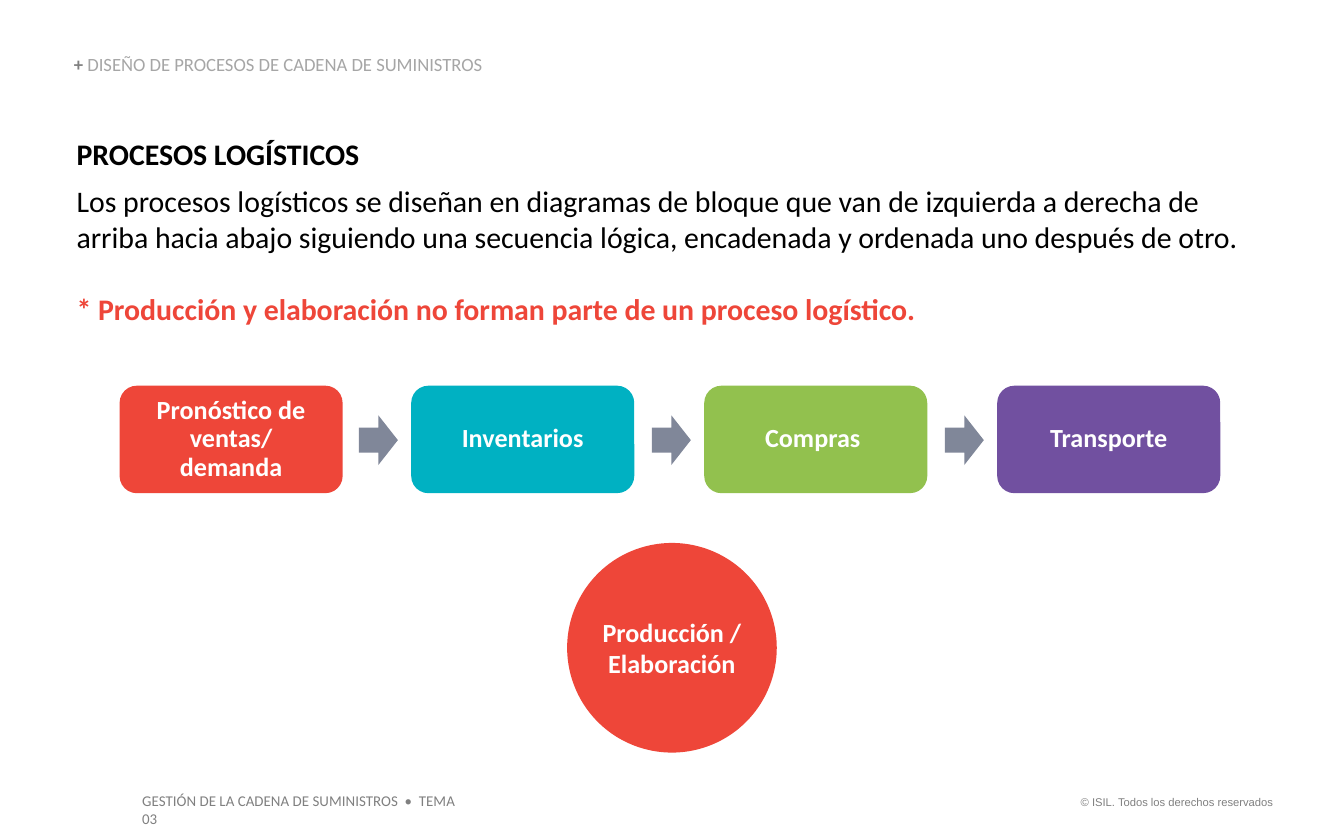
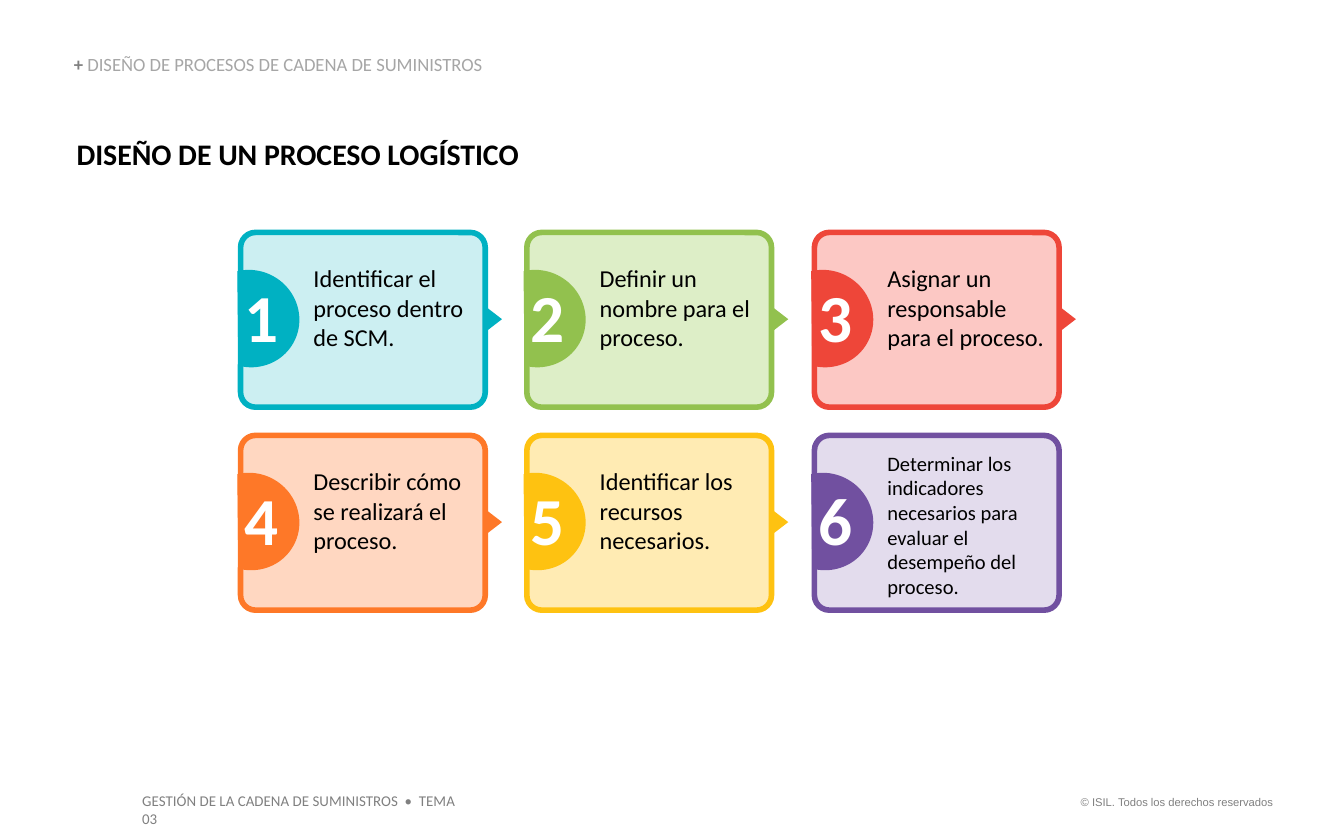
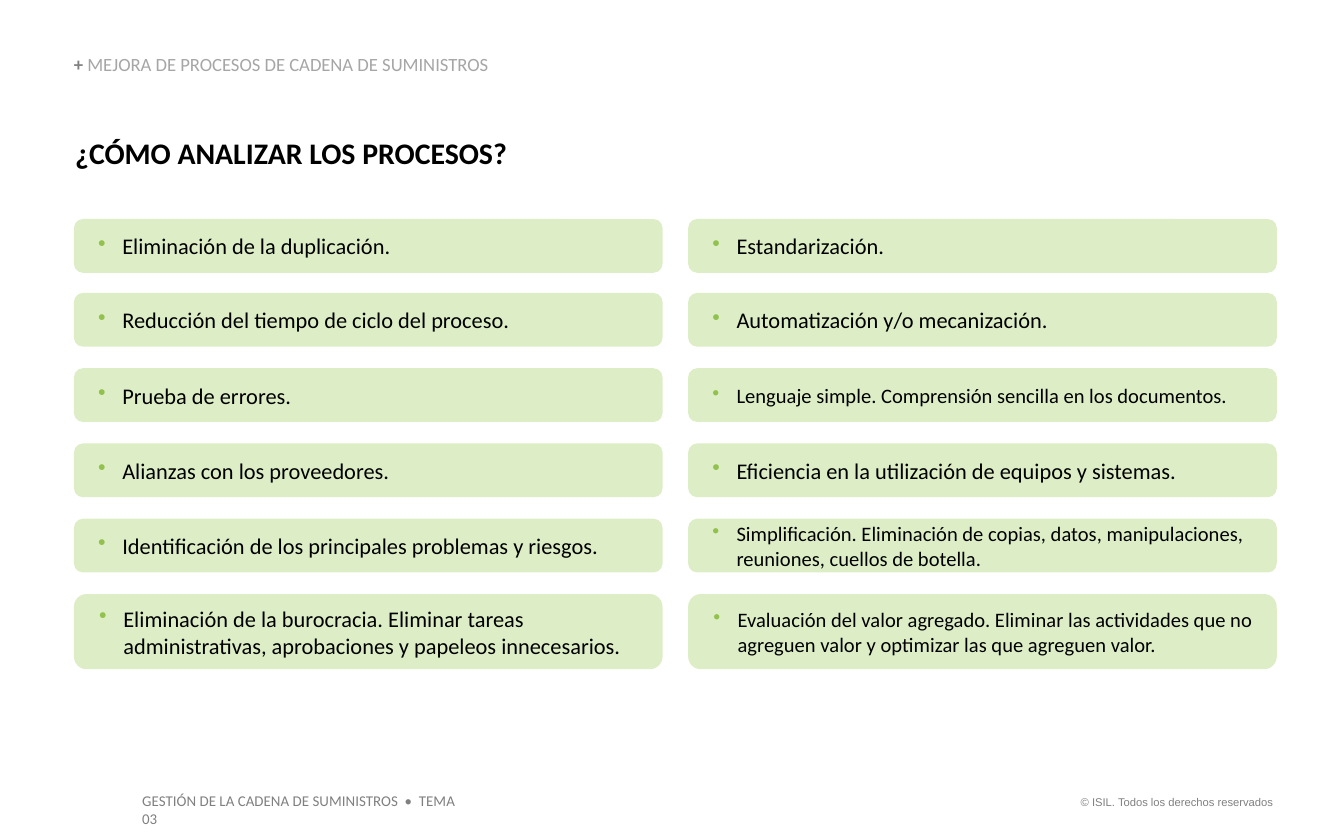
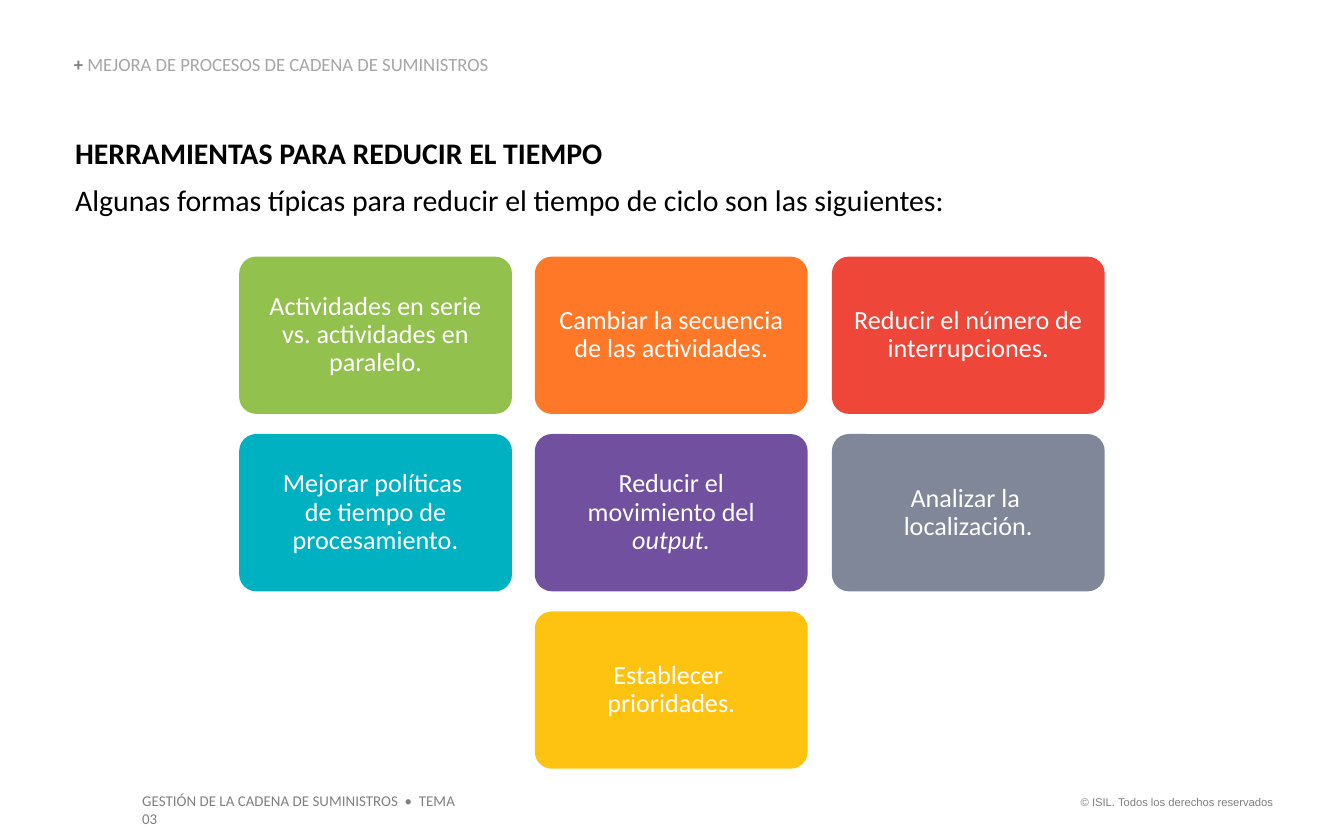
from lxml.etree import SubElement
from pptx import Presentation
from pptx.dml.color import RGBColor
from pptx.enum.shapes import MSO_SHAPE
from pptx.enum.text import MSO_ANCHOR, PP_ALIGN
from pptx.oxml.ns import qn
from pptx.util import Emu, Pt

PX = 9144  # 100 px to the inch
SLIDE_W, SLIDE_H = 1000, 625
FONT = "Calibri"
COLORS = {
    "black": "000000", "white": "FFFFFF", "gray": "808080", "light gray": "A6A6A6",
    "red": "EE4639", "teal": "00B1C2", "green": "92C14E", "purple": "7150A0",
    "orange": "FE7828", "yellow": "FEC211", "slate": "808799",
    "pale red": "FCC8C4", "pale teal": "CCEFF2", "pale green": "DDEEC7",
    "pale purple": "E3DCED", "pale orange": "FFD7C1", "pale yellow": "FFEBB3",
}
DEFAULT_INSETS = (10, 5, 10, 5)
NO_INSETS = (0, 0, 0, 0)
DESIGN = "DISEÑO DE PROCESOS DE CADENA DE SUMINISTROS"
IMPROVEMENT = "MEJORA DE PROCESOS DE CADENA DE SUMINISTROS"


def color(name):
    return RGBColor.from_string(COLORS[name])


def emu(box):
    return [Emu(length * PX) for length in box]


def write(paragraph, text, size, ink, bold=False, italic_end="", font=FONT):
    """Set a paragraph's text, with an optional italic ending, and format it."""
    paragraph.text = text
    if italic_end:
        ending = paragraph.add_run()
        ending.text = italic_end
        ending.font.italic = True
    for run in paragraph.runs:
        run.font.name = font
        run.font.size = Pt(size)
        run.font.bold = bold
        run.font.color.rgb = color(ink)
    for line_break in paragraph._p.findall(qn("a:br")):
        SubElement(line_break, qn("a:rPr"), sz=str(size * 100))


def set_frame(frame, insets, anchor):
    frame.word_wrap = True
    frame.vertical_anchor = anchor
    (frame.margin_left, frame.margin_top,
     frame.margin_right, frame.margin_bottom) = emu(insets)


def add_text(slide, box, insets=NO_INSETS, anchor=MSO_ANCHOR.TOP):
    """Add an empty text box and return its frame."""
    frame = slide.shapes.add_textbox(*emu(box)).text_frame
    set_frame(frame, insets, anchor)
    return frame


def add_figure(slide, preset, box, fill, adjustments=(), rotation=0,
               insets=DEFAULT_INSETS, anchor=MSO_ANCHOR.MIDDLE):
    figure = slide.shapes.add_shape(preset, *emu(box))
    figure.shadow.inherit = False
    figure.fill.solid()
    figure.fill.fore_color.rgb = color(fill)
    figure.line.fill.background()
    figure.rotation = rotation
    for index, value in enumerate(adjustments):
        figure.adjustments[index] = value
    set_frame(figure.text_frame, insets, anchor)
    return figure


def add_label_card(slide, box, fill, corner, text, bold=False, italic_end=""):
    """Add a rounded box with a centred white label."""
    card = add_figure(slide, MSO_SHAPE.ROUNDED_RECTANGLE, box, fill, [corner])
    label = card.text_frame.paragraphs[0]
    write(label, text, 14, "white", bold, italic_end)
    label.alignment = PP_ALIGN.CENTER
    label.line_spacing = 0.9


def add_heading(slide, box, title, body=""):
    frame = add_text(slide, box)
    heading = frame.paragraphs[0]
    write(heading, title, 16, "black", bold=True)
    if body:
        heading.space_after = Pt(6)
        write(frame.add_paragraph(), body, 16, "black")
    return frame


def new_slide(deck, section):
    """Add a slide with the section line and both footers."""
    slide = deck.slides.add_slide(deck.slide_layouts[6])

    rights = add_text(slide, (788, 587, 169, 20), DEFAULT_INSETS).paragraphs[0]
    write(rights, "© ISIL. Todos los derechos reservados", 6, "gray", font="Arial")
    rights.alignment = PP_ALIGN.RIGHT

    course = add_text(slide, (96, 584, 266, 24), DEFAULT_INSETS).paragraphs[0]
    write(course, "GESTIÓN DE LA CADENA DE SUMINISTROS  •  TEMA 03", 8, "gray")

    section_line = add_text(slide, (55, 41, 465, 15), anchor=MSO_ANCHOR.BOTTOM).paragraphs[0]
    write(section_line, "+ ", 10, "gray", bold=True)
    section_name = section_line.add_run()
    section_name.text = section
    section_name.font.name = FONT
    section_name.font.size = Pt(10)
    section_name.font.color.rgb = color("light gray")
    section_line.line_spacing = 0.9
    return slide


def add_flow(slide, left, top, stages):
    """Add a row of stages joined by block arrows."""
    for index, (text, fill) in enumerate(stages):
        x = left + index * 653 // 3
        if index:
            add_figure(slide, MSO_SHAPE.RIGHT_ARROW, (x - 39, top + 22, 29, 37), "slate")
        add_label_card(slide, (x, top, 166, 80), fill, 0.16, text, bold=True)


def processes_slide(deck):
    slide = new_slide(deck, DESIGN)
    intro = add_heading(
        slide, (57, 101, 892, 143), "PROCESOS LOGÍSTICOS",
        "Los procesos logísticos se diseñan en diagramas de bloque que van de izquierda "
        "a derecha de arriba hacia abajo siguiendo una secuencia lógica, encadenada y "
        "ordenada uno después de otro.")
    warning = intro.add_paragraph()
    write(warning, "* Producción y elaboración no forman parte de un proceso logístico.",
          16, "red", bold=True)
    warning.space_before = Pt(19.5)

    add_flow(slide, 89, 287, [
        ("Pronóstico de ventas/ demanda", "red"), ("Inventarios", "teal"),
        ("Compras ", "green"), ("Transporte", "purple")])

    production = add_figure(slide, MSO_SHAPE.OVAL, (422, 404, 156, 156), "red",
                            insets=NO_INSETS)
    label = production.text_frame.paragraphs[0]
    write(label, "Producción / Elaboración", 14, "white", bold=True)
    label.alignment = PP_ALIGN.CENTER


def add_step(slide, left, top, number, text, hue, is_last):
    """Add a numbered step; every step but the last points to the next."""
    insets, size = ((51, 8, 0, 5), 11) if is_last else ((51, 20, 4, 5), 13)
    card = add_figure(slide, MSO_SHAPE.ROUNDED_RECTANGLE, (left, top, 182, 130),
                      "pale " + hue, [0.085], insets=insets, anchor=MSO_ANCHOR.TOP)
    card.line.color.rgb = color(hue)
    card.line.width = Pt(3)
    description = card.text_frame.paragraphs[0]
    write(description, text, size, "black")
    description.alignment = PP_ALIGN.LEFT

    add_figure(slide, MSO_SHAPE.CHORD, (left - 30, top + 28, 74, 72), hue,
               [27, 152.33], rotation=210)
    digit = add_text(slide, (left - 7, top + 27, 41, 71), DEFAULT_INSETS).paragraphs[0]
    write(digit, str(number), 36, "white", bold=True)
    if not is_last:
        add_figure(slide, MSO_SHAPE.ISOSCELES_TRIANGLE, (left + 178, top + 58, 20, 13),
                   hue, rotation=90)


def steps_slide(deck):
    slide = new_slide(deck, DESIGN)
    add_heading(slide, (57, 101, 444, 27), "DISEÑO DE UN PROCESO LOGÍSTICO")
    steps = [
        ("Identificar el proceso dentro de SCM.", "teal"),
        ("Definir un nombre para el proceso.", "green"),
        ("Asignar un responsable para el proceso.", "red"),
        ("Describir cómo se realizará el proceso.", "orange"),
        ("Identificar los recursos necesarios.", "yellow"),
        ("Determinar los indicadores necesarios para evaluar el desempeño del proceso.",
         "purple"),
    ]
    for index, (text, hue) in enumerate(steps):
        row, column = divmod(index, 3)
        add_step(slide, 179 + column * 427 // 2, 173 + row * 151,
                 index + 1, text, hue, index == len(steps) - 1)


def add_bullet(paragraph):
    properties = paragraph._p.get_or_add_pPr()
    properties.set("marL", str(19 * PX))
    properties.set("indent", str(-18 * PX))
    bullet_color = SubElement(properties, qn("a:buClr"))
    SubElement(bullet_color, qn("a:srgbClr"), val=COLORS["green"])
    SubElement(properties, qn("a:buChar"), char="•")


def add_bullet_column(slide, left, top, items):
    for index, (text, size) in enumerate(items):
        height = 56 if index == len(items) - 1 else 40
        strip = add_figure(slide, MSO_SHAPE.ROUNDED_RECTANGLE,
                           (left, top + index * 279 // 5, 438, height),
                           "pale green", [0.169], insets=(15, 5, 10, 5))
        item = strip.text_frame.paragraphs[0]
        add_bullet(item)
        write(item, text, size, "black")
        item.alignment = PP_ALIGN.LEFT


def analysis_slide(deck):
    slide = new_slide(deck, IMPROVEMENT)
    add_heading(slide, (56, 100, 352, 27), "¿CÓMO ANALIZAR LOS PROCESOS?")
    add_bullet_column(slide, 55, 163, [
        ("Eliminación de la duplicación.", 12),
        ("Reducción del tiempo de ciclo del proceso.", 12),
        ("Prueba de errores.", 12),
        ("Alianzas con los proveedores.", 12),
        ("Identificación de los principales problemas y riesgos.", 12),
        ("Eliminación de la burocracia. Eliminar tareas administrativas, aprobaciones "
         "y papeleos innecesarios.", 12),
    ])
    add_bullet_column(slide, 512, 163, [
        ("Estandarización.", 12),
        ("Automatización y/o mecanización.", 12),
        ("Lenguaje simple. Comprensión sencilla en los documentos.", 11),
        ("Eficiencia en la utilización de equipos y sistemas.", 12),
        ("Simplificación. Eliminación de copias, datos, manipulaciones, reuniones, "
         "cuellos de botella.", 11),
        ("Evaluación del valor agregado. Eliminar las actividades que no agreguen valor "
         "y optimizar las que agreguen valor.", 11),
    ])


def tools_slide(deck):
    slide = new_slide(deck, IMPROVEMENT)
    add_heading(slide, (56, 100, 867, 62), "HERRAMIENTAS PARA REDUCIR EL TIEMPO",
                "Algunas formas típicas para reducir el tiempo de ciclo son las siguientes:")
    tools = [
        (0, 0, "green", "Actividades en serie vs. actividades en paralelo.", ""),
        (0, 1, "orange", "Cambiar la secuencia de las actividades.", ""),
        (0, 2, "red", "Reducir el número de interrupciones.", ""),
        (1, 0, "teal", "Mejorar políticas \vde tiempo de procesamiento.", ""),
        (1, 1, "purple", "Reducir el movimiento del ", "output."),
        (1, 2, "slate", "Analizar la \vlocalización.", ""),
        (2, 1, "yellow", "Establecer \vprioridades.", ""),
    ]
    for row, column, fill, text, italic_end in tools:
        box = (178 + column * 441 // 2, 191 + row * 132, 203, 117)
        add_label_card(slide, box, fill, 0.108, text, italic_end=italic_end)


def main():
    deck = Presentation()
    deck.slide_width, deck.slide_height = emu((SLIDE_W, SLIDE_H))
    processes_slide(deck)
    steps_slide(deck)
    analysis_slide(deck)
    tools_slide(deck)
    deck.save("out.pptx")


if __name__ == "__main__":
    main()
